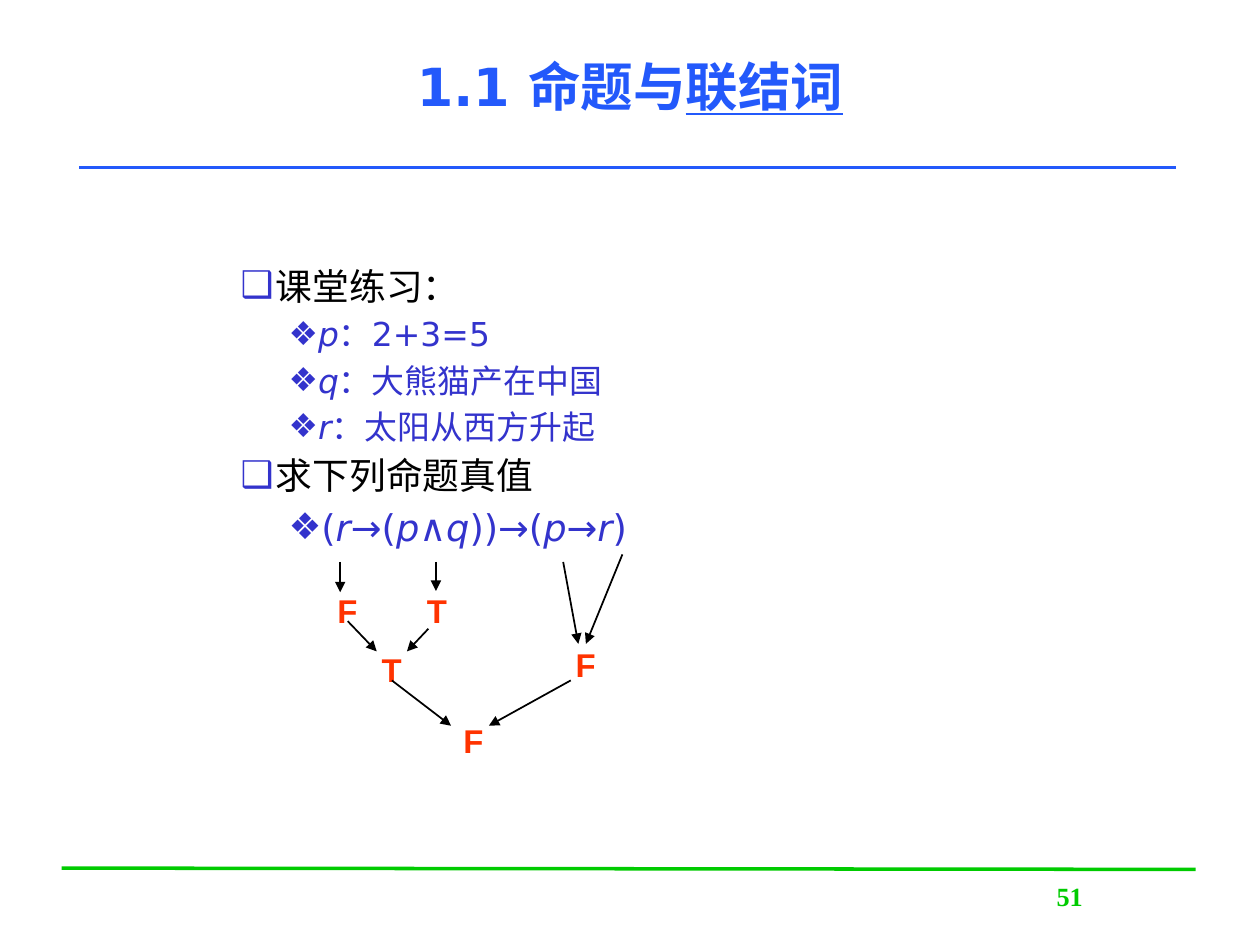
from pptx import Presentation
from pptx.dml.color import RGBColor
from pptx.enum.shapes import MSO_CONNECTOR
from pptx.enum.text import MSO_ANCHOR, MSO_AUTO_SIZE, PP_ALIGN
from pptx.oxml.ns import qn
from pptx.util import Inches, Pt
from lxml import etree

STRAIGHT = MSO_CONNECTOR.STRAIGHT
MIDDLE, TOP = MSO_ANCHOR.MIDDLE, MSO_ANCHOR.TOP
NO_FIT = MSO_AUTO_SIZE.NONE
CENTER, LEFT = PP_ALIGN.CENTER, PP_ALIGN.LEFT

BLUE = RGBColor(0x23, 0x59, 0xFB)
GREEN = RGBColor(0x00, 0xCB, 0x00)
INDIGO = RGBColor(0x33, 0x33, 0xCC)
RED = RGBColor(0xFF, 0x33, 0x00)
BLACK = RGBColor(0x00, 0x00, 0x00)

SANS, SERIF, VALUE_FONT = "DejaVu Sans", "Times New Roman", "Arial"
VARIABLES = "pqr"
LEVELS = [("❑", 0.28, -0.28, SERIF, BLACK), ("❖", 0.61, -0.23, SANS, INDIGO)]

EXERCISE = [
    (0, 21, ["课堂练习："]),
    (1, 18.8, ["p", "：2+3=5"]),
    (1, 18.8, ["q", "：大熊猫产在中国"]),
    (1, 18.8, ["r", "：太阳从西方升起"]),
    (0, 21, ["求下列命题真值"]),
    (1, 21, ["(", "r", "→(", "p", "∧", "q", "))→(", "p", "→", "r", ")"]),
]
TRUTH_VALUES = [("T", 3.29, 4.64), ("F", 2.58, 4.64), ("T", 2.93, 5.11),
                ("F", 4.47, 5.07), ("F", 3.58, 5.67)]
EVALUATION_STEPS = [
    (3.46, 4.46, 3.46, 4.69), (2.7, 4.46, 2.7, 4.7),
    (2.76, 4.93, 2.99, 5.17), (3.4, 4.99, 3.23, 5.17),
    (4.47, 4.46, 4.59, 5.11), (4.94, 4.4, 4.65, 5.11),
    (3.11, 5.4, 3.58, 5.76), (4.53, 5.4, 3.88, 5.76),
]


class SlideBuilder:
    """Draws the elements of one slide in a shared style."""

    def __init__(self, slide):
        self.slide = slide

    def place(self, shape, left, top, width, height):
        shape.left, shape.top = Inches(left), Inches(top)
        shape.width, shape.height = Inches(width), Inches(height)

    def style(self, paragraph, size, name, color, bold=False):
        font = paragraph.font
        font.size, font.name, font.bold = Pt(size), name, bold
        font.color.rgb = color

    def title(self, plain, underlined):
        heading = self.slide.shapes.title
        self.place(heading, 0.75, 0.05, 8.5, 1.25)
        frame = heading.text_frame
        frame.vertical_anchor, frame.auto_size = MIDDLE, NO_FIT
        paragraph = frame.paragraphs[0]
        paragraph.alignment = CENTER
        self.style(paragraph, 30, SANS, BLUE, bold=True)
        paragraph.add_run().text = plain
        link = paragraph.add_run()
        link.text = underlined
        link.font.underline = True

    def bullet(self, paragraph, level):
        char, margin, indent, _, _ = LEVELS[level]
        properties = paragraph._p.get_or_add_pPr()
        properties.set("marL", str(Inches(margin)))
        properties.set("indent", str(Inches(indent)))
        color = etree.SubElement(properties, qn("a:buClr"))
        etree.SubElement(color, qn("a:srgbClr"), val=str(INDIGO))
        etree.SubElement(properties, qn("a:buFont"), typeface=SANS)
        etree.SubElement(properties, qn("a:buChar"), char=char)

    def outline(self, items):
        body = self.slide.placeholders[1]
        self.place(body, 1.81, 2.04, 6.49, 4.02)
        frame = body.text_frame
        frame.vertical_anchor, frame.auto_size = TOP, NO_FIT
        for index, (level, size, parts) in enumerate(items):
            paragraph = frame.add_paragraph() if index else frame.paragraphs[0]
            paragraph.level = level
            self.bullet(paragraph, level)
            paragraph.space_before = Pt(0.2 * size if index else 0)
            self.style(paragraph, size, *LEVELS[level][3:])
            for part in parts:
                run = paragraph.add_run()
                run.text = part
                if part in VARIABLES:
                    run.font.italic = True

    def label(self, text, box, size, name, color, align=LEFT, insets=(0.1, 0.05)):
        frame = self.slide.shapes.add_textbox(*map(Inches, box)).text_frame
        frame.word_wrap = True
        frame.margin_left = frame.margin_right = Inches(insets[0])
        frame.margin_top = frame.margin_bottom = Inches(insets[1])
        paragraph = frame.paragraphs[0]
        paragraph.alignment = align
        self.style(paragraph, size, name, color, bold=True)
        paragraph.add_run().text = text

    def line(self, ends, color, width):
        connector = self.slide.shapes.add_connector(STRAIGHT, *map(Inches, ends))
        connector.line.color.rgb = color
        connector.line.width = Pt(width)
        etree.SubElement(connector._element.spPr, qn("a:effectLst"))
        return connector

    def arrow(self, ends):
        outline = self.line(ends, BLACK, 1).line._get_or_add_ln()
        etree.SubElement(outline, qn("a:tailEnd"), type="triangle")


def main():
    presentation = Presentation()
    presentation.slide_width, presentation.slide_height = Inches(10), Inches(7.5)
    layout = presentation.slide_layouts[1]
    builder = SlideBuilder(presentation.slides.add_slide(layout))

    builder.line((0.49, 6.89, 9.49, 6.9), GREEN, 2)
    builder.line((0.63, 1.33, 9.33, 1.33), BLUE, 2)
    builder.label("51", (7.7, 6.95, 1.58, 0.5), 15, SERIF, GREEN, CENTER, (0.07, 0.04))
    builder.title("1.1 命题与", "联结词")
    builder.outline(EXERCISE)
    for value, left, top in TRUTH_VALUES:
        builder.label(value, (left, top, 0.65, 0.42), 18.8, VALUE_FONT, RED)
    for ends in EVALUATION_STEPS:
        builder.arrow(ends)

    presentation.save("out.pptx")


if __name__ == "__main__":
    main()
